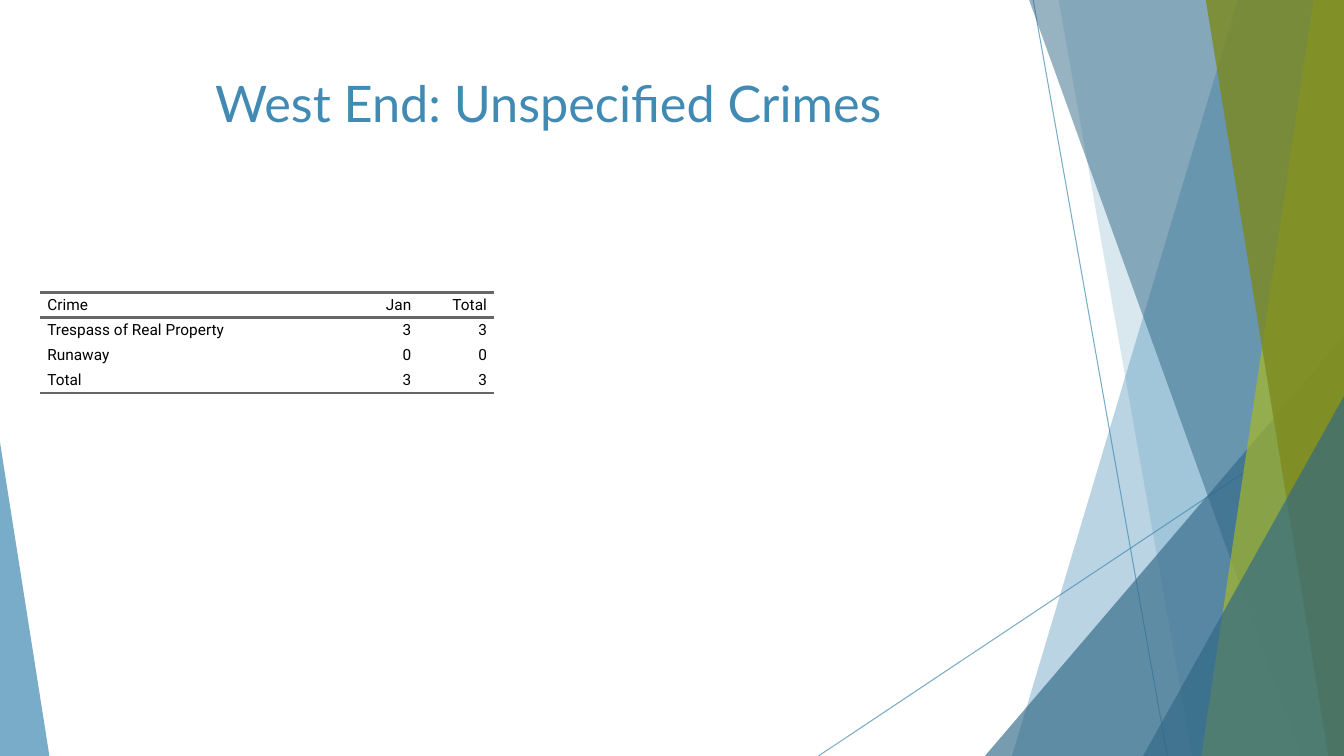
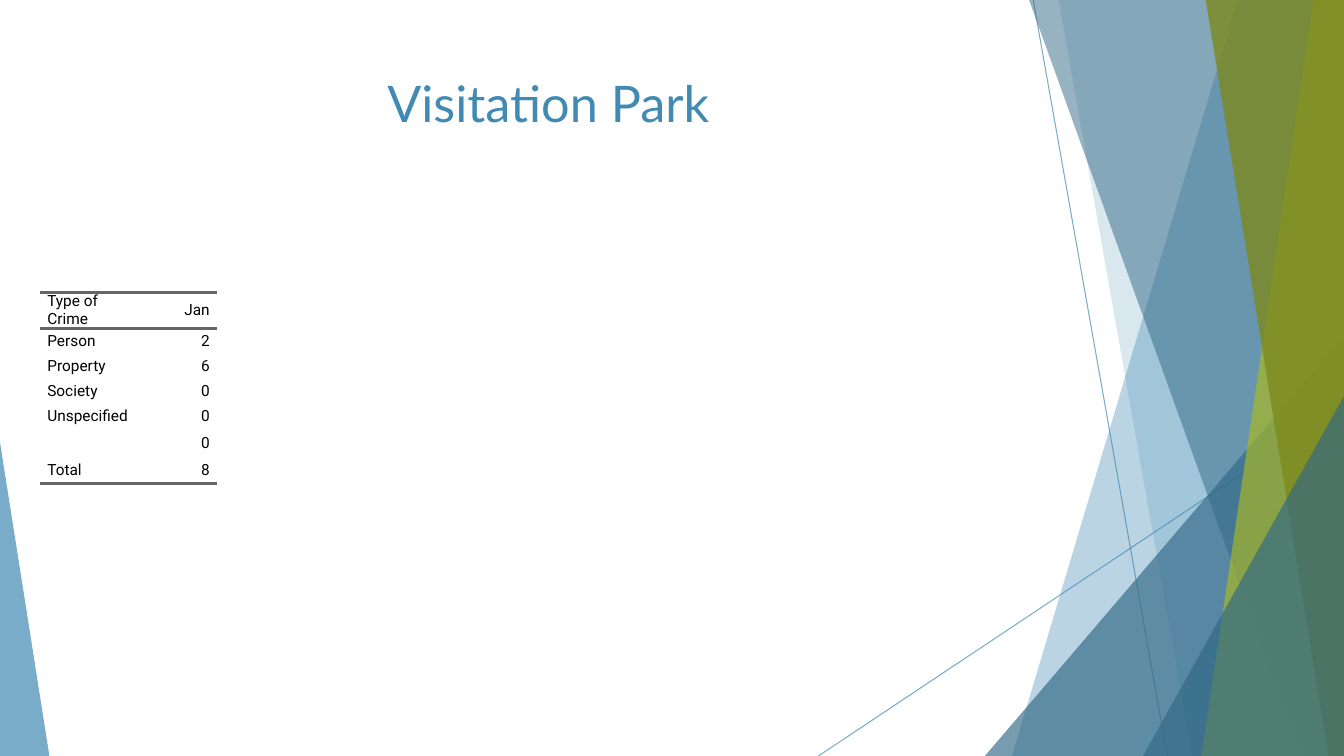
from dataclasses import dataclass

from lxml.etree import SubElement
from pptx import Presentation
from pptx.dml.color import RGBColor
from pptx.enum.shapes import MSO_CONNECTOR, MSO_SHAPE
from pptx.enum.text import MSO_ANCHOR, PP_ALIGN
from pptx.oxml.ns import qn
from pptx.util import Pt


@dataclass(frozen=True)
class Theme:
    """Colours, fonts and type sizes shared by the deck."""
    blue: str = "418AB3"
    deep_blue: str = "316886"
    lime: str = "A6B727"
    olive: str = "7D891D"
    rule: str = "666666"
    ink: str = "000000"
    title_font: str = "Lato"
    title_size: int = 36
    table_font: str = "Roboto"
    table_size: int = 11
    rule_width: int = 2
    hairline: float = 0.75


@dataclass(frozen=True)
class Box:
    """A rectangle in points."""
    left: float
    top: float
    width: float
    height: float

    def lengths(self):
        """Return the four sides as lengths."""
        return [Pt(side) for side in (self.left, self.top, self.width, self.height)]


THEME = Theme()
PAGE = Box(0, 0, 960, 540)
TITLE_BOX = Box(53.3, 48.2, 676.8, 103.7)
TABLE_LEFT, TABLE_TOP = 28.8, 208.8
ROW_HEIGHT, BLANK_ROW_HEIGHT = 18, 20.7
CELL_INSET = 5
NO_GRID_STYLE = "{2D5ABB26-0587-4C30-8999-92F81FD0307C}"


def fade(shape, opacity):
    """Make the colours set on a shape partly transparent."""
    for colour in list(shape.element.iter(qn("a:srgbClr"))):
        SubElement(colour, qn("a:alpha"), val=str(opacity * 1000))


def paint(shape, colour, opacity):
    """Give a shape a flat translucent fill without outline or shadow."""
    shape.shadow.inherit = False
    shape.fill.solid()
    shape.fill.fore_color.rgb = RGBColor.from_string(colour)
    shape.line.fill.background()
    fade(shape, opacity)
    return shape


def add_hairline(page, start, end):
    """Draw a thin translucent line between two points."""
    line = page.shapes.add_connector(
        MSO_CONNECTOR.STRAIGHT, *[Pt(value) for value in (*start, *end)])
    line.line.color.rgb = RGBColor.from_string(THEME.blue)
    line.line.width = Pt(THEME.hairline)
    SubElement(line.element.spPr, qn("a:effectLst"))
    fade(line, 70)
    return line


def add_band(page, box, top_left, bottom_left, colour, opacity):
    """Draw a band from a slanted left edge to the right side of the box."""
    right, bottom = box.left + box.width, box.top + box.height
    outline = page.shapes.build_freeform(Pt(box.left + top_left), Pt(box.top))
    corners = [(right, box.top), (right, bottom), (box.left + bottom_left, bottom)]
    outline.add_line_segments([(Pt(x), Pt(y)) for x, y in corners])
    return paint(outline.convert_to_shape(), colour, opacity)


def add_wedge(page, box, left, top, width, apex, colour, opacity):
    """Draw a right-angled triangle standing on the bottom of the box."""
    wedge_box = Box(box.left + left, box.top + top, width, box.height - top)
    wedge = page.shapes.add_shape(MSO_SHAPE.ISOSCELES_TRIANGLE, *wedge_box.lengths())
    wedge.adjustments[0] = apex
    return paint(wedge, colour, opacity)


def add_facets(page, box):
    """Draw the overlapping decoration and return its shapes from back to front."""
    right, bottom = box.left + box.width, box.top + box.height
    return [
        add_hairline(page, (box.left + 738, box.top), (box.left + 833.8, bottom)),
        add_hairline(page, (right, box.top + 290), (box.left + 584.6, bottom)),
        add_band(page, box, 884.2, 722.9, THEME.blue, 36),
        add_band(page, box, 756.2, 851.7, THEME.blue, 20),
        add_wedge(page, box, 703.5, 240, 256.5, 1, THEME.deep_blue, 66),
        add_band(page, box, 735.1, 929.7, THEME.deep_blue, 50),
        add_band(page, box, 938.2, 858.2, THEME.lime, 70),
        add_band(page, box, 861.3, 948.8, THEME.olive, 80),
        add_wedge(page, box, 816.5, 283, 143.5, 1, THEME.deep_blue, 66),
        add_wedge(page, box, 0, 316, 35.3, 0, THEME.blue, 70),
    ]


def style_layout(layout, page):
    """Place the title and move the decoration behind it on the shared layout."""
    title = layout.placeholders[0]
    title.left, title.top, title.width, title.height = TITLE_BOX.lengths()
    title.text_frame.vertical_anchor = MSO_ANCHOR.TOP
    for position, shape in enumerate(add_facets(page, PAGE), start=2):
        layout.shapes.element.insert(position, shape.element)


def style_font(font, name, size, colour):
    """Set typeface, size and colour."""
    font.name, font.size = name, Pt(size)
    font.color.rgb = RGBColor.from_string(colour)


def fill_title(page, text):
    """Write the slide title in its placeholder."""
    title = page.shapes.title
    title.text_frame.text = text
    para = title.text_frame.paragraphs[0]
    para.alignment = PP_ALIGN.CENTER
    style_font(para.font, THEME.title_font, THEME.title_size, THEME.blue)


def add_rule(cell, side):
    """Draw a rule on one side of a table cell."""
    properties = cell._tc.get_or_add_tcPr()
    border = SubElement(properties, qn(f"a:{side}"), w=str(Pt(THEME.rule_width)))
    fill = SubElement(border, qn("a:solidFill"))
    SubElement(fill, qn("a:srgbClr"), val=THEME.rule)


def fill_cell(cell, text, alignment, sides):
    """Write one table cell and draw its rules."""
    cell.margin_left = cell.margin_right = Pt(CELL_INSET)
    cell.margin_top = cell.margin_bottom = 0
    cell.vertical_anchor = MSO_ANCHOR.MIDDLE
    for side in sides:
        add_rule(cell, side)
    cell.fill.background()
    para = cell.text_frame.paragraphs[0]
    para.alignment = alignment
    style_font(para.font, THEME.table_font, THEME.table_size, THEME.ink)
    if text:
        para.add_run().text = text


def add_crime_table(page, left, top, widths, rows):
    """Add a ruled table with labels on the left and counts on the right."""
    heights = [ROW_HEIGHT if row[0] else BLANK_ROW_HEIGHT for row in rows]
    box = Box(left, top, sum(widths), sum(heights))
    frame = page.shapes.add_table(len(rows), len(widths), *box.lengths())
    table = frame.table
    table.first_row = table.horz_banding = False
    for style in frame.element.iter(qn("a:tableStyleId")):
        style.text = NO_GRID_STYLE
    for column, width in zip(table.columns, widths):
        column.width = Pt(width)
    rules = {0: ("lnT", "lnB"), len(rows) - 1: ("lnB",)}
    for row_index, values in enumerate(rows):
        table.rows[row_index].height = Pt(heights[row_index])
        for column_index, text in enumerate(values):
            alignment = PP_ALIGN.RIGHT if column_index else PP_ALIGN.LEFT
            fill_cell(table.cell(row_index, column_index), text, alignment,
                      rules.get(row_index, ()))


def build_crime_page(page, title, widths, rows):
    """Fill a slide with a title and a crime table."""
    fill_title(page, title)
    add_crime_table(page, TABLE_LEFT, TABLE_TOP, widths, rows)


CRIME_PAGES = [
    ("West End: Unspecified Crimes", (216, 54, 54), [
        ("Crime", "Jan", "Total"),
        ("Trespass of Real Property", "3", "3"),
        ("Runaway", "0", "0"),
        ("Total", "3", "3"),
    ]),
    ("Visitation Park", (72, 54), [
        ("Type of Crime", "Jan"),
        ("Person", "2"),
        ("Property", "6"),
        ("Society", "0"),
        ("Unspecified", "0"),
        ("", "0"),
        ("Total", "8"),
    ]),
]


def main():
    """Build and save the deck."""
    deck = Presentation()
    deck.slide_width, deck.slide_height = Pt(PAGE.width), Pt(PAGE.height)
    layout = deck.slide_layouts.get_by_name("Title Only")
    pages = [deck.slides.add_slide(layout) for _ in CRIME_PAGES]
    style_layout(layout, pages[0])
    for page, content in zip(pages, CRIME_PAGES):
        build_crime_page(page, *content)
    deck.save("out.pptx")


if __name__ == "__main__":
    main()
